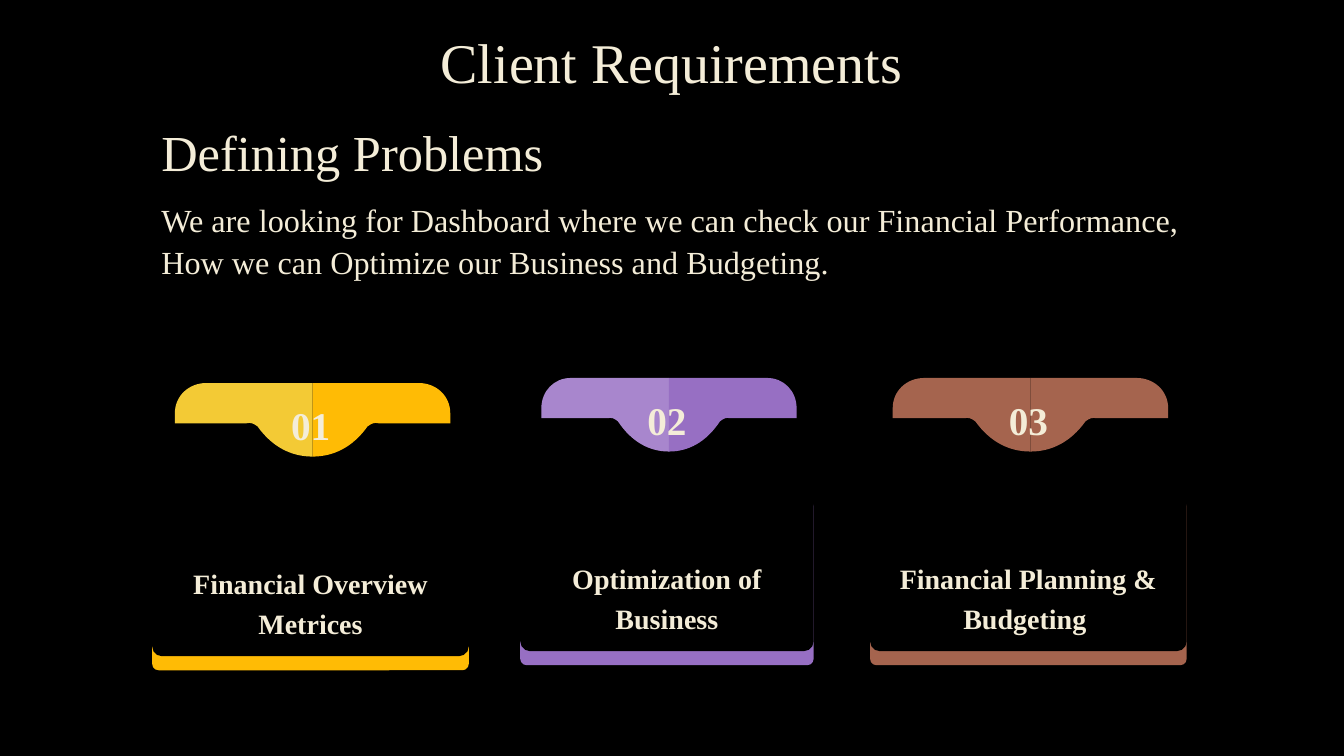
import dataclasses

import pptx
import pptx.dml.color
import pptx.enum.shapes
import pptx.enum.text
import pptx.oxml.ns
import pptx.util

Inches = pptx.util.Inches
Pt = pptx.util.Pt
qn = pptx.oxml.ns.qn
ALIGN = pptx.enum.text.PP_ALIGN
ANCHOR = pptx.enum.text.MSO_ANCHOR


@dataclasses.dataclass(frozen=True)
class Theme:
    font: str = "Times New Roman"
    background: str = "000000"
    text: str = "F4EDD8"
    title_size: int = 40
    heading_size: int = 36
    body_size: int = 23
    number_size: int = 28
    label_size: int = 20


THEME = Theme()

# Number, label, left, top, width, left tab colour, main colour
REQUIREMENTS = [
    ("01", "Financial Overview Metrices", 1.51, 3.8, 3.14, "F3CA35", "FFBB05"),
    ("02", "Optimization of Business", 5.16, 3.75, 2.91, "A886CD", "976FC3"),
    ("03", "Financial Planning & Budgeting ", 8.63, 3.75, 3.14, "A5644E", "A5644E"),
]

# Right half of a tab: x in half widths from the centre, y in inches.
# One point makes a line, three points make a curve.
HALF_TAB_START = (0, 0)
HALF_TAB_SEGMENTS = [
    [(0.77, 0)],
    [(0.9, 0), (1, 0.13), (1, 0.3)],
    [(1, 0.4)],
    [(0.48, 0.4)],
    [(0.45, 0.39), (0.43, 0.4), (0.4, 0.43)],
    [(0.29, 0.64), (0.15, 0.73), (0, 0.73)],
]


def rgb(color):
    return pptx.dml.color.RGBColor.from_string(color)


def paint(shape, color):
    shape.fill.solid()
    shape.fill.fore_color.rgb = rgb(color)
    shape.line.fill.background()
    shape.shadow.inherit = False


def place(shape, left, top, width, height):
    shape.left, shape.top = Inches(left), Inches(top)
    shape.width, shape.height = Inches(width), Inches(height)


def format_paragraph(paragraph, size, align, spacing, bold=False):
    paragraph.alignment = align
    paragraph.line_spacing = spacing
    for run in paragraph.runs:
        run.font.name = THEME.font
        run.font.size = Pt(size)
        run.font.bold = bold
        run.font.color.rgb = rgb(THEME.text)


def add_title(slide, wording):
    title = slide.shapes.title
    place(title, 1.5, 0, 10.32, 1)
    frame = title.text_frame
    frame.text = wording
    frame.auto_size = pptx.enum.text.MSO_AUTO_SIZE.NONE
    frame.vertical_anchor = ANCHOR.BOTTOM
    format_paragraph(frame.paragraphs[0], THEME.title_size, ALIGN.CENTER, 0.9)


def add_problem(slide, heading, statement):
    problem = slide.placeholders[1]
    place(problem, 1.5, 1.09, 10.32, 6.28)
    frame = problem.text_frame
    frame.text = f"{heading}\n{statement}"
    frame.auto_size = pptx.enum.text.MSO_AUTO_SIZE.NONE
    frame.vertical_anchor = ANCHOR.TOP
    for paragraph, size in zip(frame.paragraphs, (THEME.heading_size, THEME.body_size)):
        format_paragraph(paragraph, size, ALIGN.LEFT, 1.1)
        paragraph.space_before = Pt(size * 0.2)
        paragraph.space_after = Pt(6)


def add_caption(card, wording, box, size, anchor):
    caption = card.shapes.add_textbox(*map(Inches, box))
    frame = caption.text_frame
    frame.word_wrap = True
    frame.vertical_anchor = anchor
    frame.margin_left = frame.margin_right = Inches(0.07)
    frame.margin_top = frame.margin_bottom = Inches(0.03)
    frame.text = wording
    format_paragraph(frame.paragraphs[0], size, ALIGN.CENTER, 1.2, bold=True)


def add_panel(card, left, top, width, height, color):
    panel = card.shapes.add_shape(
        pptx.enum.shapes.MSO_SHAPE.ROUNDED_RECTANGLE,
        Inches(left), Inches(top), Inches(width), Inches(height))
    panel.adjustments[0] = 0.039
    paint(panel, color)


def bend(outline, segments):
    """Join the lines of each three-point segment into one curve."""
    lines = iter(outline.findall(".//" + qn("a:lnTo")))
    for segment in segments:
        steps = [next(lines) for _ in segment]
        if len(steps) == 3:
            steps[0].tag = qn("a:cubicBezTo")
            for step in steps[1:]:
                steps[0].append(step[0])
                step.getparent().remove(step)


def add_half_tab(card, center, top, half_width, side, color):
    def locate(point):
        return Inches(center + side * half_width * point[0]), Inches(top + point[1])

    builder = card.shapes.build_freeform(*locate(HALF_TAB_START))
    builder.add_line_segments(
        [locate(point) for segment in HALF_TAB_SEGMENTS for point in segment])
    half_tab = builder.convert_to_shape()
    bend(half_tab.element, HALF_TAB_SEGMENTS)
    paint(half_tab, color)


def add_requirement(slide, number, label, left, top, width, light, main_color):
    card = slide.shapes.add_group_shape()
    middle = left + width / 2
    # Card with a coloured lower edge
    add_panel(card, left, top + 1.21, width, 1.64, main_color)
    add_panel(card, left, top + 0.19, width, 2.52, THEME.background)
    # Two-tone tab
    for side, color in ((-1, light), (1, main_color)):
        add_half_tab(card, middle + 0.02, top, width * 0.435, side, color)
    # Label and number
    add_caption(card, label, (left + 0.14, top + 1.72, width - 0.28, 0.99),
                THEME.label_size, ANCHOR.TOP)
    add_caption(card, number, (middle - 0.66, top, 1.32, 0.73),
                THEME.number_size, ANCHOR.MIDDLE)


def main():
    presentation = pptx.Presentation()
    presentation.slide_width = Inches(13.33)
    presentation.slide_height = Inches(7.5)
    slide = presentation.slides.add_slide(presentation.slide_layouts[0])
    slide.background.fill.solid()
    slide.background.fill.fore_color.rgb = rgb(THEME.background)

    add_title(slide, "Client Requirements")
    add_problem(
        slide, "Defining Problems",
        "We are looking for Dashboard where we can check our Financial Performance, "
        "How we can Optimize our Business and Budgeting.")
    for requirement in REQUIREMENTS:
        add_requirement(slide, *requirement)

    presentation.save("out.pptx")


if __name__ == "__main__":
    main()
